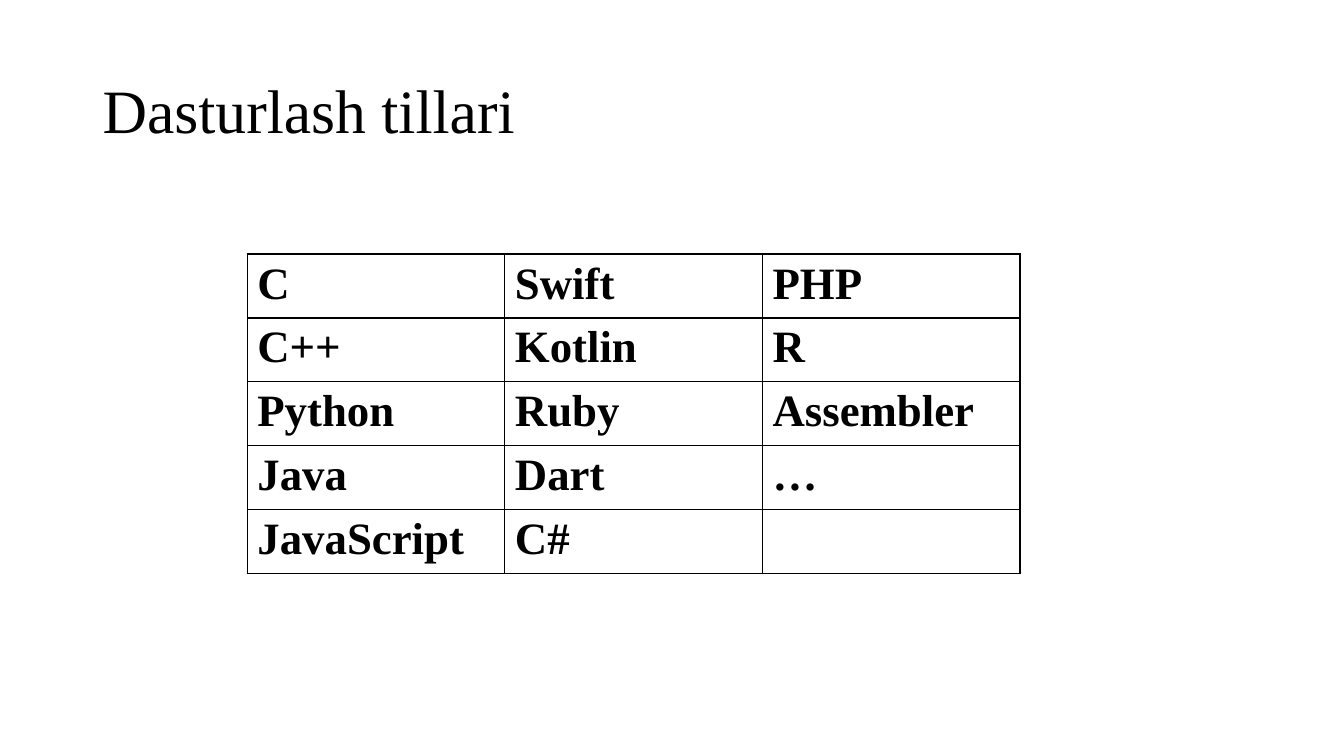
from lxml import etree
from pptx import Presentation, util as u
from pptx.dml.color import RGBColor
from pptx.enum import text
from pptx.oxml import ns

BLACK = RGBColor(0, 0, 0)
WHITE = RGBColor(255, 255, 255)

# Languages, row by row
LANGS = [
    ["C", "Swift", "PHP"],
    ["C++", "Kotlin", "R"],
    ["Python", "Ruby", "Assembler"],
    ["Java", "Dart", "…"],
    ["JavaScript", "C#", ""],
]


class Page:
    """Holds the style and the slide; lengths are shares of the slide."""
    face = "Times New Roman"

    def __init__(self, deck):
        self.wide, self.high = deck.slide_width, deck.slide_height
        self.slide = deck.slides.add_slide(deck.slide_layouts[6])
        fill = self.slide.background.fill
        fill.solid()
        fill.fore_color.rgb = WHITE

    def box(self, x, y, w, h):
        return (int(x * self.wide), int(y * self.high),
                int(w * self.wide), int(h * self.high))

    def style(self, para, size, bold=False):
        font = para.font
        font.name, font.size, font.bold = self.face, u.Pt(size), bold
        font.color.rgb = BLACK

    def title(self, words, *area):
        frame = self.slide.shapes.add_textbox(*self.box(*area)).text_frame
        frame.word_wrap = True
        frame.vertical_anchor = text.MSO_ANCHOR.MIDDLE
        para = frame.paragraphs[0]
        para.text, para.line_spacing = words, 0.9
        self.style(para, 44)

    def edge(self, cell):
        props = cell._tc.get_or_add_tcPr()
        for side in "LRTB":
            line = etree.SubElement(props, ns.qn("a:ln" + side), w=str(u.Pt(1)))
            fill = etree.SubElement(line, ns.qn("a:solidFill"))
            etree.SubElement(fill, ns.qn("a:srgbClr"), val=str(BLACK))

    def table(self, rows, *area):
        grid = self.slide.shapes.add_table(
            len(rows), len(rows[0]), *self.box(*area)).table
        grid.first_row = grid.horz_banding = False
        for r, row in enumerate(rows):
            for c, word in enumerate(row):
                cell = grid.cell(r, c)
                cell.text = word
                self.style(cell.text_frame.paragraphs[0], 32, True)
                self.edge(cell)
                cell.fill.background()


def main():
    deck = Presentation()
    deck.slide_width, deck.slide_height = u.Inches(13.33), u.Inches(7.5)
    page = Page(deck)

    # Heading
    page.title("Dasturlash tillari", 0.069, 0.053, 0.863, 0.193)

    # Table of languages
    page.table(LANGS, 0.184, 0.336, 0.575, 0.394)

    deck.save("out.pptx")


if __name__ == "__main__":
    main()
